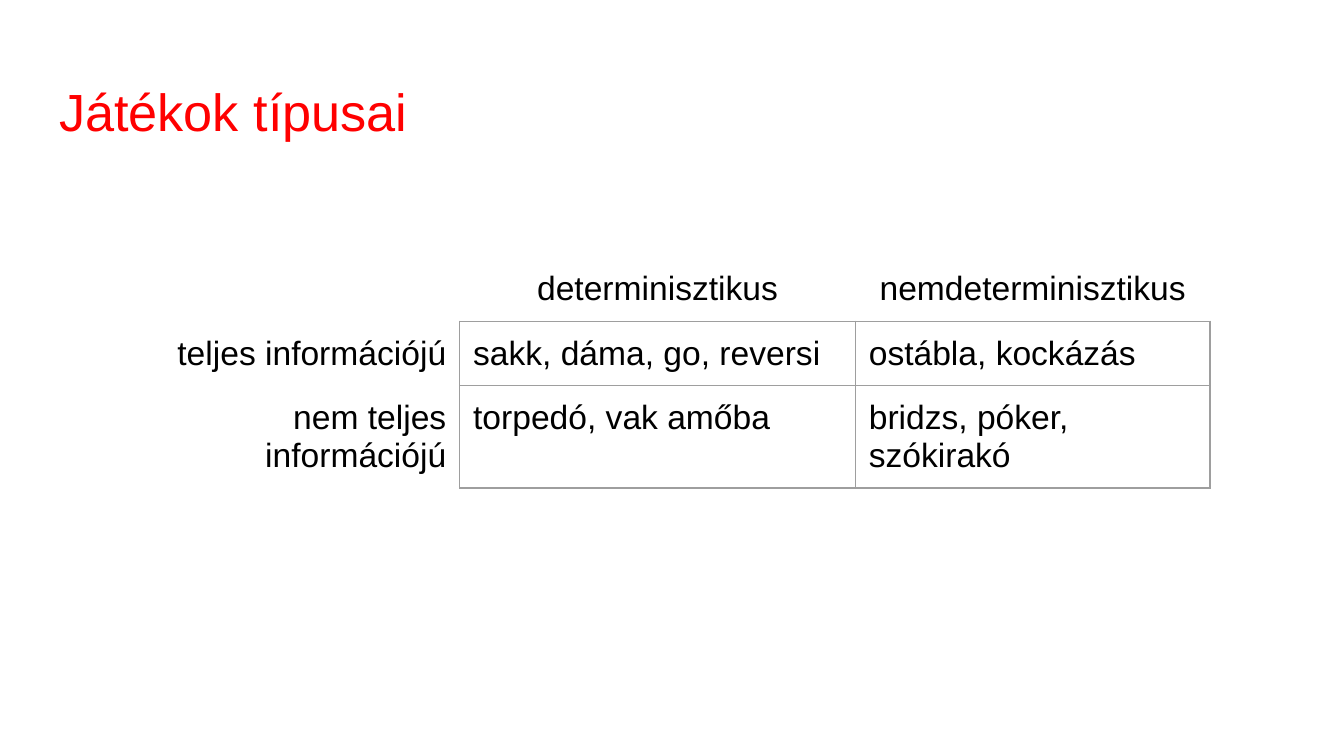
from dataclasses import dataclass

from lxml.etree import SubElement
from pptx import Presentation
from pptx.dml.color import RGBColor
from pptx.enum.text import MSO_ANCHOR as Anchor, PP_ALIGN as Align
from pptx.oxml.ns import qn
from pptx.util import Pt

FONT = "Arial"
RED, BLACK, GREY = "FF0000", "000000", "9E9E9E"
INSET = Pt(7.2)
COLUMN_WIDTHS = (167.8, 212, 190)
ROW_HEIGHT = 30


@dataclass
class GameRow:
    label: str
    deterministic: str
    nondeterministic: str

    def texts(self) -> tuple[str, str, str]:
        return self.label, self.deterministic, self.nondeterministic


GAMES = [
    GameRow("", "determinisztikus", "nemdeterminisztikus"),
    GameRow("teljes információjú", "sakk, dáma, go, reversi", "ostábla, kockázás"),
    GameRow("nem teljes információjú", "torpedó, vak amőba", "bridzs, póker, szókirakó"),
]


def color(value: str) -> RGBColor:
    return RGBColor.from_string(value)


def style_paragraph(paragraph, size: float, value: str, align: Align) -> None:
    paragraph.alignment = align
    paragraph.font.name = FONT
    paragraph.font.size = Pt(size)
    paragraph.font.color.rgb = color(value)


def set_insets(holder) -> None:
    holder.margin_left = holder.margin_right = INSET
    holder.margin_top = holder.margin_bottom = INSET


def set_borders(cell, visible_sides: str) -> None:
    properties = cell._tc.get_or_add_tcPr()
    for side in "LRTB":
        line = SubElement(properties, qn(f"a:ln{side}"), w=str(Pt(0.75)))
        if side in visible_sides:
            fill = SubElement(line, qn("a:solidFill"))
            SubElement(fill, qn("a:srgbClr"), val=GREY)
        else:
            SubElement(line, qn("a:noFill"))


def fill_cell(cell, text: str, row: int, column: int) -> None:
    # Headings only share the border that touches the body
    if row and column:
        align, sides = Align.LEFT, "LRTB"
    elif row:
        align, sides = Align.RIGHT, "R"
    else:
        align, sides = Align.CENTER, "B" if column else ""
    cell.text = text
    style_paragraph(cell.text_frame.paragraphs[0], 18, BLACK, align)
    set_insets(cell)
    set_borders(cell, sides)
    cell.fill.background()


def add_game_table(slide) -> None:
    frame = slide.shapes.add_table(
        len(GAMES), len(COLUMN_WIDTHS), Pt(78.5), Pt(137.5),
        Pt(sum(COLUMN_WIDTHS)), Pt(ROW_HEIGHT * len(GAMES)))
    table = frame.table
    table.first_row = table.horz_banding = False
    for column, width in zip(table.columns, COLUMN_WIDTHS):
        column.width = Pt(width)
    for row, game in enumerate(GAMES):
        for column, text in enumerate(game.texts()):
            fill_cell(table.cell(row, column), text, row, column)


def main() -> None:
    deck = Presentation()
    deck.slide_width, deck.slide_height = Pt(720), Pt(405)
    slide = deck.slides.add_slide(deck.slide_layouts[5])

    # Title
    title = slide.shapes.title
    title.left, title.top = Pt(24.5), Pt(35)
    title.width, title.height = Pt(671), Pt(45)
    title.text_frame.text = "Játékok típusai"
    title.text_frame.vertical_anchor = Anchor.TOP
    set_insets(title.text_frame)
    style_paragraph(title.text_frame.paragraphs[0], 28, RED, Align.LEFT)

    # Game types by information and determinism
    add_game_table(slide)
    deck.save("out.pptx")


if __name__ == "__main__":
    main()
